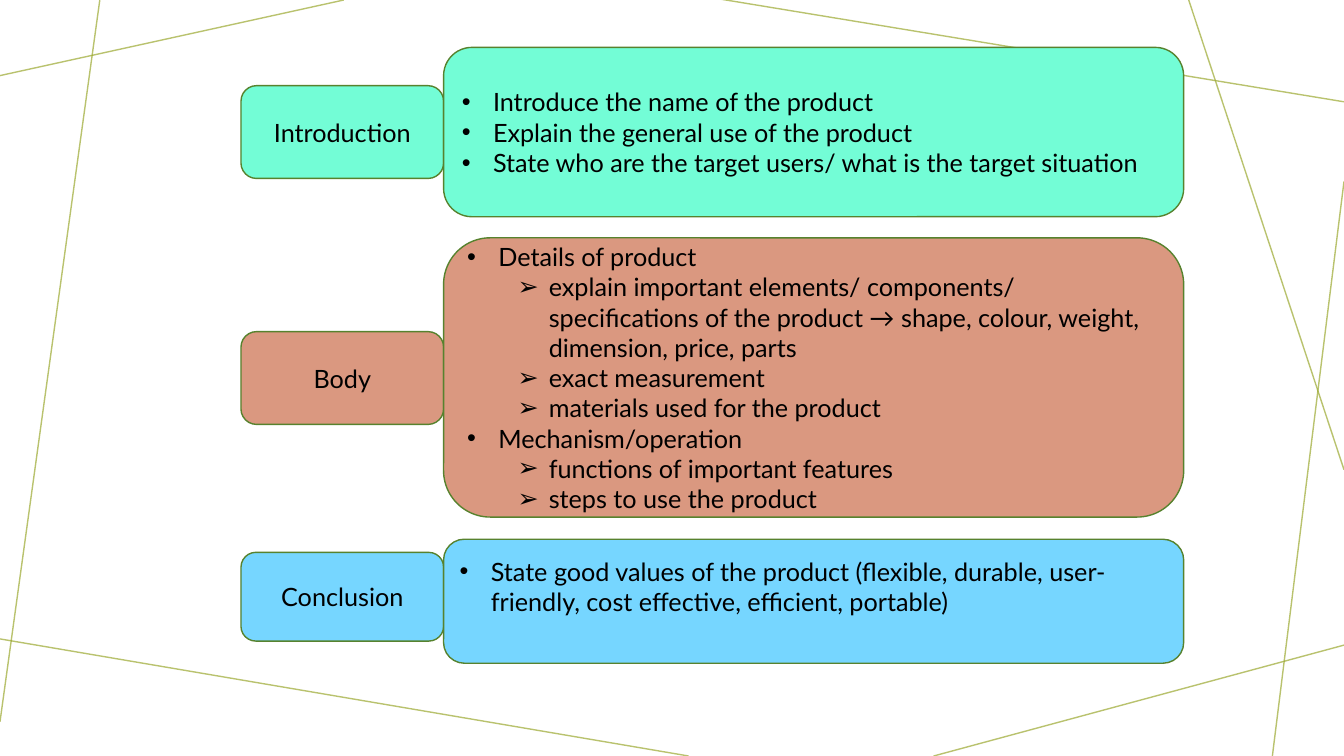
import pptx
import pptx.dml.color
import pptx.enum.shapes
import pptx.enum.text
import pptx.oxml.ns
import pptx.util
from lxml import etree

Inches = pptx.util.Inches
COLORS = {
    "introduction": "73FDD6",
    "body": "DA9880",
    "conclusion": "76D6FF",
    "outline": "57822E",
    "background_line": "9CA931",
    "text": "000000",
}
BACKGROUND_LINES = [
    (3.41, 0, 0, 0.75),
    (0.99, 0, 0, 7.16),
    (6.83, 7.5, -0.05, 6.33),
    (13.33, 6.4, 9.26, 7.5),
    (13.33, 1.8, 12.62, 7.5),
    (13.33, 4.66, 11.79, 0),
    (13.33, 1.01, 7.14, -0.01),
]
BULLETS = ["•", "➢"]
LABEL_WIDTH = 2.01
SECTIONS = [
    {"name": "Introduction", "top": 0.47, "height": 1.68,
     "label_top": 0.38, "label_height": 0.92, "items": [
         (0, "Introduce the name of the product"),
         (0, "Explain the general use of the product"),
         (0, "State who are the target users/ what is the target situation"),
     ]},
    {"name": "Body", "top": 2.36, "height": 2.77,
     "label_top": 0.93, "label_height": 0.92, "items": [
         (0, "Details of product"),
         (1, "explain important elements/ components/ specifications of the "
             "product → shape, colour, weight, dimension, price, parts"),
         (1, "exact measurement"),
         (1, "materials used for the product"),
         (0, "Mechanism/operation"),
         (1, "functions of important features"),
         (1, "steps to use the product"),
     ]},
    {"name": "Conclusion", "top": 5.35, "height": 1.23, "bottom_inset": 0.35,
     "label_top": 0.13, "label_height": 0.88, "items": [
         (0, "State good values of the product (flexible, durable, "
             "user-friendly, cost effective, efficient, portable)"),
     ]},
]


def rgb(name):
    """Return the named colour."""
    return pptx.dml.color.RGBColor.from_string(COLORS[name])


def add_child(parent, tag, **attributes):
    """Append a drawing element with the given attributes."""
    return etree.SubElement(parent, pptx.oxml.ns.qn(tag), attributes)


def add_background(slide):
    """Draw the translucent lines that cross the slide edges."""
    for ends in BACKGROUND_LINES:
        connector = slide.shapes.add_connector(
            pptx.enum.shapes.MSO_CONNECTOR.STRAIGHT, *map(Inches, ends))
        connector.line.width = pptx.util.Pt(1)
        connector.line.color.rgb = rgb("background_line")
        properties = connector.line._get_or_add_ln().getparent()
        color = properties.find(".//" + pptx.oxml.ns.qn("a:srgbClr"))
        add_child(color, "a:alpha", val="70000")
        add_child(properties, "a:effectLst")


def add_rounded_box(slide, box, fill):
    """Add an outlined rounded rectangle and return its text frame."""
    shape = slide.shapes.add_shape(
        pptx.enum.shapes.MSO_SHAPE.ROUNDED_RECTANGLE, *map(Inches, box))
    shape.shadow.inherit = False
    shape.fill.solid()
    shape.fill.fore_color.rgb = rgb(fill)
    shape.line.color.rgb = rgb("outline")
    shape.line.width = pptx.util.Pt(1)
    frame = shape.text_frame
    frame.word_wrap = True
    frame.vertical_anchor = pptx.enum.text.MSO_ANCHOR.MIDDLE
    return frame


def write_paragraph(paragraph, text, alignment):
    """Fill a paragraph with formatted text."""
    paragraph.alignment = alignment
    run = paragraph.add_run()
    run.text = text
    run.font.color.rgb = rgb("text")
    font_format = {"name": "Lato", "size": pptx.util.Pt(18)}
    for attribute, value in font_format.items():
        setattr(run.font, attribute, value)


def add_bullet(paragraph, level):
    """Give a paragraph the hanging bullet of its level."""
    paragraph.level = level
    properties = paragraph._p.get_or_add_pPr()
    properties.set("marL", str(Inches(0.31 + 0.5 * level)))
    properties.set("indent", str(Inches(-0.31)))
    add_child(properties, "a:buFont", typeface="Arial")
    add_child(properties, "a:buChar", char=BULLETS[level])


def add_section(slide, section, left, width):
    """Place a label and its bulleted panel side by side."""
    name, top = section["name"], section["top"]
    fill = name.lower()
    label_box = (left, top + section["label_top"],
                 LABEL_WIDTH, section["label_height"])
    label = add_rounded_box(slide, label_box, fill)
    write_paragraph(label.paragraphs[0], name, pptx.enum.text.PP_ALIGN.CENTER)

    panel_box = (left + LABEL_WIDTH, top, width - LABEL_WIDTH, section["height"])
    panel = add_rounded_box(slide, panel_box, fill)
    panel.margin_bottom = Inches(section.get("bottom_inset", 0.05))
    for index, (level, text) in enumerate(section["items"]):
        paragraph = panel.add_paragraph() if index else panel.paragraphs[0]
        write_paragraph(paragraph, text, pptx.enum.text.PP_ALIGN.LEFT)
        add_bullet(paragraph, level)


def main():
    """Build and save the presentation."""
    presentation = pptx.Presentation()
    presentation.slide_width = Inches(13.33)
    presentation.slide_height = Inches(7.5)
    slide = presentation.slides.add_slide(presentation.slide_layouts[6])
    add_background(slide)
    for section in SECTIONS:
        add_section(slide, section, left=2.39, width=9.35)
    presentation.save("out.pptx")


if __name__ == "__main__":
    main()
